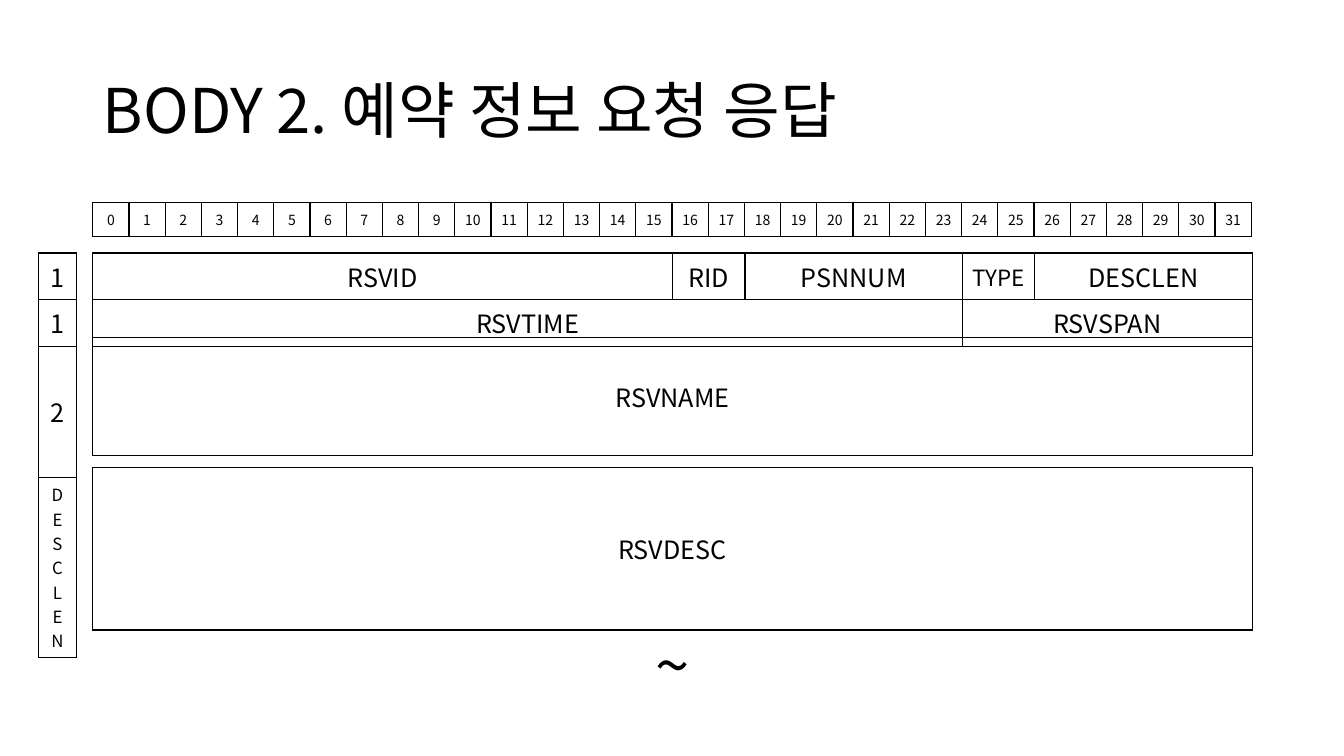
"""Builds a slide that shows the bit layout of a reservation reply body."""
from lxml.etree import SubElement
from pptx import Presentation
from pptx.dml.color import RGBColor
from pptx.enum.text import MSO_ANCHOR as Anchor, PP_ALIGN as Align
from pptx.oxml.ns import qn
from pptx.util import Inches, Pt

TITLE = "BODY 2. 예약 정보 요청 응답"
CONTINUES = "~"
FONT = "Noto Sans CJK KR"
BLACK = RGBColor(0, 0, 0)
BORDER = Pt(1)

BITS = 32
LEFT, WIDTH = 0.92, 11.5
BIT = WIDTH / BITS
SIDE_LEFT, SIDE_WIDTH = 0.38, 0.38
WORD = 0.46
SMALL_SIZES = {"TYPE": 16}

# Each row lists (label, columns spanned).
RULER = [[(str(bit), 1) for bit in range(BITS)]]
FIELD_BITS = [16, 2, 6, 2, 6]
FIELDS = [
    [("RSVID", 1), ("RID", 1), ("PSNNUM", 1), ("TYPE", 1), ("DESCLEN", 1)],
    [("RSVTIME", 3), ("RSVSPAN", 2)],
]
NAME = [[("RSVNAME", 1)]]
DESCRIPTION = [[("RSVDESC", 1)]]
WORD_COUNTS = [[("1", 1)], [("1", 1)], [("2", 1)], [("DESCLEN", 1)]]

TABLES = [
    (LEFT, 2.51, [bits * BIT for bits in FIELD_BITS], [WORD] * 2, FIELDS, 18, {"TYPE": 16}),
    (LEFT, 3.35, [WIDTH], [1.17], NAME, 18, {}),
    (LEFT, 4.64, [WIDTH], [1.61], DESCRIPTION, 18, {}),
    (LEFT, 2.01, [BIT] * BITS, [0.34], RULER, 10, {}),
    (SIDE_LEFT, 2.51, [SIDE_WIDTH], [WORD, WORD, 1.3, 1.79], WORD_COUNTS, 18, {"DESCLEN": 12}),
]


def write(frame, text, size, align, line_spacing=None):
    frame.text = text
    para = frame.paragraphs[0]
    para.alignment = align
    if line_spacing:
        para.line_spacing = line_spacing
    font = para.runs[0].font
    font.name, font.size, font.bold = FONT, Pt(size), False
    font.color.rgb = BLACK
    SubElement(para.runs[0]._r.get_or_add_rPr(), qn("a:ea"), typeface=FONT)


def outline(cell):
    properties = cell._tc.get_or_add_tcPr()
    for side in ("a:lnL", "a:lnR", "a:lnT", "a:lnB"):
        line = SubElement(properties, qn(side), w=str(BORDER))
        fill = SubElement(line, qn("a:solidFill"))
        SubElement(fill, qn("a:srgbClr"), val=str(BLACK))
    cell.fill.background()
    cell.vertical_anchor = Anchor.MIDDLE


def add_grid(slide, left, top, widths, heights, rows, size, special_sizes):
    table = slide.shapes.add_table(
        len(heights), len(widths), Inches(left), Inches(top),
        Inches(sum(widths)), Inches(sum(heights))).table
    table.first_row = table.horz_banding = False
    for column, width in zip(table.columns, widths):
        column.width = Inches(width)
    for row, height in zip(table.rows, heights):
        row.height = Inches(height)
    for cell in table.iter_cells():
        outline(cell)
    for row_index, labels in enumerate(rows):
        start = 0
        for label, span in labels:
            cell = table.cell(row_index, start)
            if span > 1:
                cell.merge(table.cell(row_index, start + span - 1))
            write(cell.text_frame, label, special_sizes.get(label, size), Align.CENTER)
            start += span


def place(shape, left, top, width, height):
    shape.left, shape.top = Inches(left), Inches(top)
    shape.width, shape.height = Inches(width), Inches(height)


def main():
    deck = Presentation()
    deck.slide_width, deck.slide_height = Inches(13.33), Inches(7.5)
    slide = deck.slides.add_slide(deck.slide_layouts[5])

    title = slide.shapes.title
    place(title, LEFT, 0.4, WIDTH, 1.45)
    title.text_frame.vertical_anchor = Anchor.MIDDLE
    write(title.text_frame, TITLE, 44, Align.LEFT, 0.9)

    for grid in TABLES:
        add_grid(slide, *grid)

    box = slide.shapes.add_textbox(
        Inches(LEFT), Inches(6.17), Inches(WIDTH), Inches(0.93))
    box.text_frame.word_wrap = True
    box.text_frame.vertical_anchor = Anchor.MIDDLE
    write(box.text_frame, CONTINUES, 44, Align.CENTER, 0.9)

    deck.save("out.pptx")


if __name__ == "__main__":
    main()
